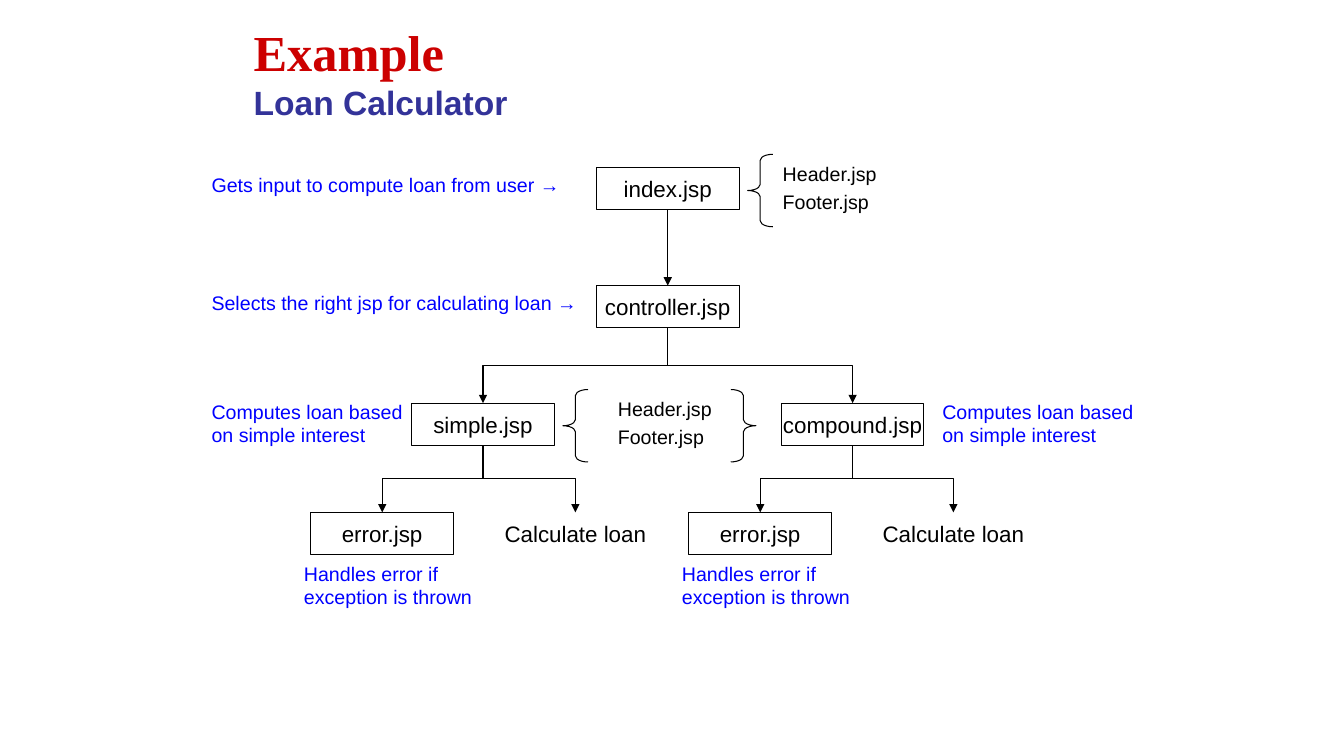
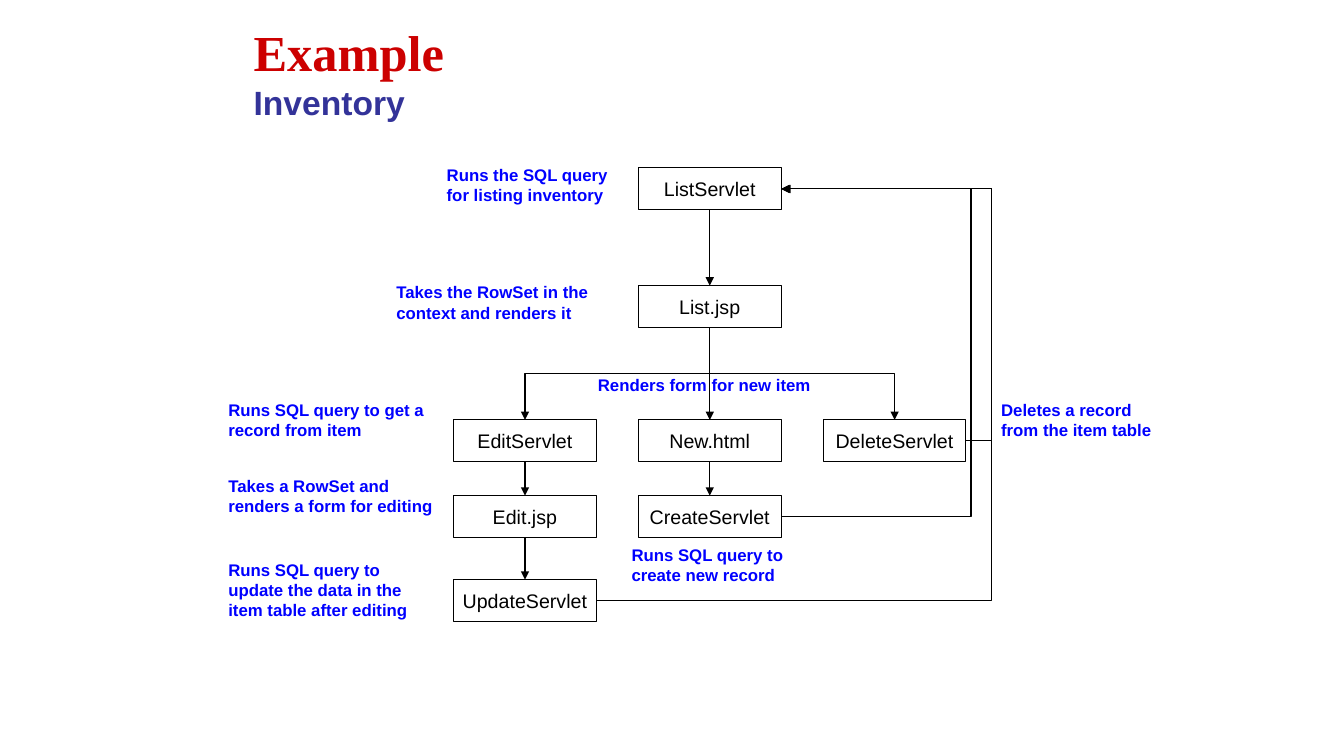
import pptx
import pptx.dml.color
import pptx.enum.shapes
import pptx.enum.text
import pptx.oxml.ns
import pptx.util
from lxml import etree

COLORS = {"title": "CC0000", "subtitle": "333399", "note": "0000FF", "ink": "000000"}
SCALE = 9525
NODE_WIDTH, NODE_HEIGHT = 136, 40
TOP, BOTTOM, RIGHT = 0, 2, 3
SHAPES = pptx.enum.shapes.MSO_SHAPE
CONNECTORS = pptx.enum.shapes.MSO_CONNECTOR
ANCHORS = pptx.enum.text.MSO_ANCHOR
ALIGNMENTS = pptx.enum.text.PP_ALIGN
qn = pptx.oxml.ns.qn


def px(value):
    return pptx.util.Emu(value * SCALE)


def color(name):
    return pptx.dml.color.RGBColor.from_string(COLORS[name])


def set_font(font, size, ink, bold=False, family="Arial"):
    font.name = family
    font.size = pptx.util.Pt(size)
    font.bold = bold
    font.color.rgb = color(ink)


def write_lines(frame, text, size, ink, bold=False, align=ALIGNMENTS.LEFT):
    frame.text = text
    for para in frame.paragraphs:
        para.alignment = align
        para.space_before = pptx.util.Pt(round(size * 0.23, 1))
        set_font(para.font, size, ink, bold)


def set_outline(shape):
    shape.line.color.rgb = color("ink")
    shape.line.width = pptx.util.Pt(0.75)


def add_page(deck, subtitle):
    page = deck.slides.add_slide(deck.slide_layouts[5])
    title = page.shapes.title
    title.left, title.top, title.width, title.height = px(232), px(8), px(816), px(120)
    frame = title.text_frame
    frame.word_wrap = True
    frame.auto_size = pptx.enum.text.MSO_AUTO_SIZE.NONE
    frame.vertical_anchor = ANCHORS.MIDDLE
    para = frame.paragraphs[0]
    para.alignment = ALIGNMENTS.LEFT
    span = para.add_run()
    span.text = "Example"
    set_font(span.font, 36, "title", True, "Times New Roman")
    para.add_line_break()
    line_break = para._p.find(qn("a:br"))
    etree.SubElement(line_break, qn("a:rPr"), sz="3200")
    span = para.add_run()
    span.text = subtitle
    set_font(span.font, 24, "subtitle", True)
    return page


def add_node(page, text, left, top, size, outlined=True):
    box = page.shapes.add_shape(
        SHAPES.RECTANGLE, px(left), px(top), px(NODE_WIDTH), px(NODE_HEIGHT))
    box.shadow.inherit = False
    box.element.remove(box.element.find(qn("p:style")))
    box.fill.background()
    if outlined:
        set_outline(box)
    else:
        box.line.fill.background()
    frame = box.text_frame
    frame.word_wrap = False
    frame.vertical_anchor = ANCHORS.MIDDLE
    write_lines(frame, text, size, "ink", align=ALIGNMENTS.CENTER)
    return box


def add_label(page, text, left, top, width, size, lines=2, ink="note", bold=False):
    box = page.shapes.add_textbox(
        px(left), px(top), px(width), px(10 + round(lines * size * 1.6)))
    box.text_frame.word_wrap = True
    write_lines(box.text_frame, text, size, ink, bold)


def add_brace(page, kind, left, top):
    brace = page.shapes.add_shape(kind, px(left), px(top), px(24), px(69))
    brace.shadow.inherit = False
    brace.fill.background()
    brace.adjustments[0] = 0.24
    set_outline(brace)


def add_includes(page, left, top):
    add_label(page, "Header.jsp\nFooter.jsp", left, top, 120, 14, ink="ink")


def join(page, kind, start, start_side, end, end_side):
    arrow = page.shapes.add_connector(kind, start.left, start.top, end.left, end.top)
    arrow.begin_connect(start, start_side)
    arrow.end_connect(end, end_side)
    set_outline(arrow)
    properties = arrow.element.spPr
    line = properties.find(qn("a:ln"))
    etree.SubElement(line, qn("a:tailEnd"), type="triangle")
    etree.SubElement(properties, qn("a:effectLst"))
    return arrow


def add_branch(page, parent, child):
    if parent.left == child.left:
        join(page, CONNECTORS.STRAIGHT, parent, BOTTOM, child, TOP)
        return
    arrow = join(page, CONNECTORS.ELBOW, parent, BOTTOM, child, TOP)
    start_x, start_y = arrow.begin_x, arrow.begin_y
    end_x, end_y = arrow.end_x, arrow.end_y
    drop, reach = end_y - start_y, abs(end_x - start_x)
    arrow.left = pptx.util.Emu((start_x + end_x - drop) // 2)
    arrow.top = pptx.util.Emu((start_y + end_y - reach) // 2)
    arrow.width, arrow.height = drop, reach
    frame = arrow.element.spPr.find(qn("a:xfrm"))
    goes_right = end_x > start_x
    frame.set("rot", "16200000" if goes_right else "5400000")
    frame.set("flipH", "1" if goes_right else "0")


def add_return(page, start, end, lane):
    arrow = join(page, CONNECTORS.ELBOW, start, RIGHT, end, RIGHT)
    if arrow.width == 0:
        arrow.width = px(1)
        arrow.element.spPr.find(qn("a:xfrm")).set("flipH", "0")
    reach = arrow.end_x - arrow.begin_x
    bend = round((px(lane) - arrow.begin_x) / reach * 100000)
    geometry = arrow.element.spPr.find(qn("a:prstGeom"))
    guides = geometry.find(qn("a:avLst"))
    if guides is None:
        guides = etree.SubElement(geometry, qn("a:avLst"))
    etree.SubElement(guides, qn("a:gd"), name="adj1", fmla=f"val {bend}")


def build_loan_calculator(deck):
    page = add_page(deck, "Loan Calculator")
    index, controller, simple, compound = [
        add_node(page, text, left, top, 16) for text, left, top in (
            ("index.jsp", 568, 160), ("controller.jsp", 568, 272),
            ("simple.jsp", 392, 384), ("compound.jsp", 744, 384))]
    add_branch(page, index, controller)
    for parent, left in ((simple, 296), (compound, 656)):
        add_branch(page, controller, parent)
        add_branch(page, parent, add_node(page, "error.jsp", left, 488, 16))
        result = add_node(page, "Calculate loan", left + 184, 488, 16, outlined=False)
        add_branch(page, parent, result)
        add_label(page, "Handles error if exception is thrown", left - 16, 530, 208, 14)
    add_brace(page, SHAPES.LEFT_BRACE, 712, 147)
    add_brace(page, SHAPES.LEFT_BRACE, 536, 371)
    add_brace(page, SHAPES.RIGHT_BRACE, 696, 371)
    add_includes(page, 736, 149)
    add_includes(page, 579, 373)
    for text, top in (("Gets input to compute loan from user →", 160),
                      ("Selects the right jsp for calculating loan →", 272)):
        add_label(page, text, 192, top, 368, 14, lines=1)
    for left in (192, 888):
        add_label(page, "Computes loan based on simple interest", left, 376, 208, 14)


def build_inventory(deck):
    page = add_page(deck, "Inventory")
    nodes = {text: add_node(page, text, left, top, 14) for text, left, top in (
        ("ListServlet", 608, 160), ("List.jsp", 608, 272),
        ("EditServlet", 432, 400), ("New.html", 608, 400), ("DeleteServlet", 784, 400),
        ("Edit.jsp", 432, 472), ("CreateServlet", 608, 472),
        ("UpdateServlet", 432, 552))}
    for parent, child in (
            ("ListServlet", "List.jsp"), ("List.jsp", "EditServlet"),
            ("List.jsp", "New.html"), ("List.jsp", "DeleteServlet"),
            ("EditServlet", "Edit.jsp"), ("New.html", "CreateServlet"),
            ("Edit.jsp", "UpdateServlet")):
        add_branch(page, nodes[parent], nodes[child])
    for name, lane in (("DeleteServlet", 944), ("CreateServlet", 928),
                       ("UpdateServlet", 944)):
        add_return(page, nodes[name], nodes["ListServlet"], lane)
    for text, left, top, width, lines in (
            ("Runs the SQL query for listing inventory", 416, 152, 192, 2),
            ("Takes the RowSet in the context and renders it", 368, 264, 232, 2),
            ("Runs SQL query to get a record from item", 208, 376, 224, 2),
            ("Takes a RowSet and renders a form for editing", 208, 448, 224, 2),
            ("Runs SQL query to update the data in the item table after editing",
             208, 528, 208, 3),
            ("Deletes a record from the item table", 944, 376, 176, 2),
            ("Runs SQL query to create new record", 592, 514, 208, 2),
            ("Renders form for new item", 560, 352, 240, 1)):
        add_label(page, text, left, top, width, 12, lines, bold=True)


def main():
    deck = pptx.Presentation()
    deck.slide_width, deck.slide_height = px(1280), px(720)
    build_loan_calculator(deck)
    build_inventory(deck)
    deck.save("out.pptx")


if __name__ == "__main__":
    main()
